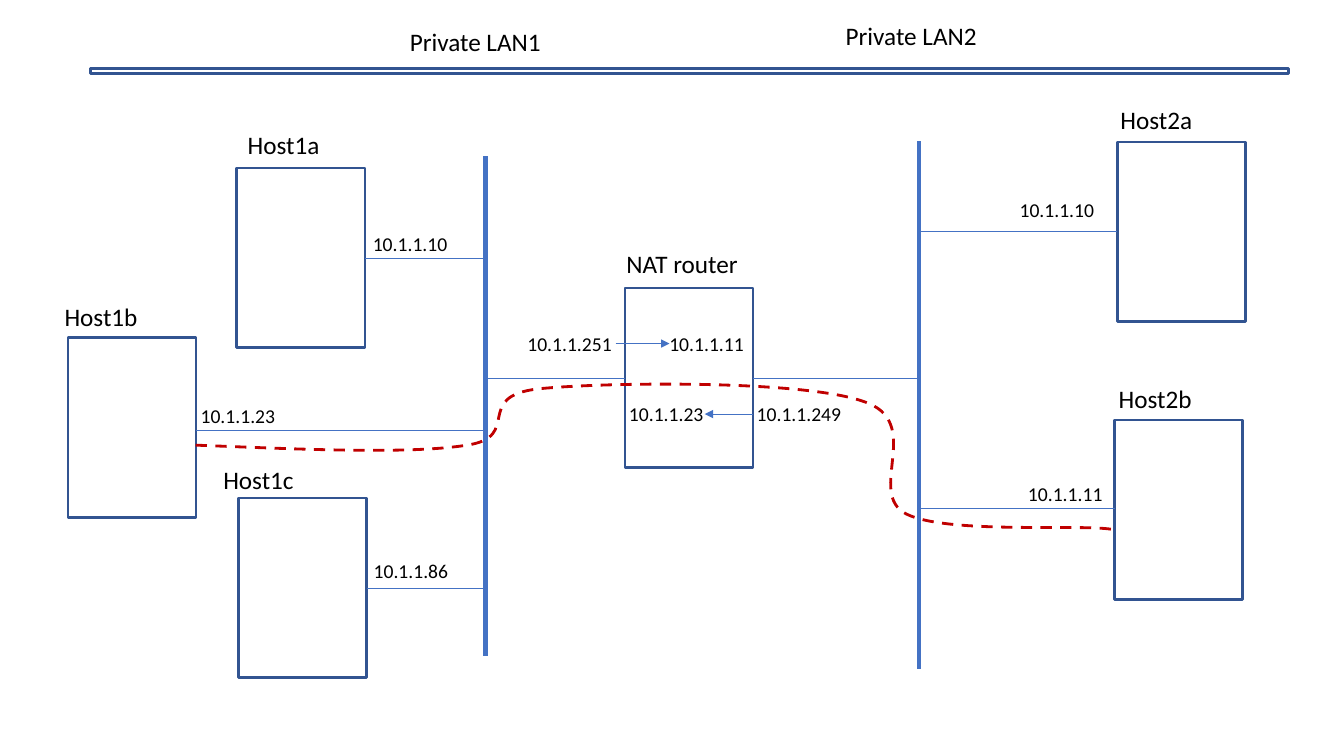
import dataclasses
import lxml.etree
import pptx
import pptx.dml.color
import pptx.enum.dml
import pptx.enum.shapes
import pptx.oxml.ns
import pptx.util

# Square grid: 160 columns by 90 rows
WIDE, HIGH = pptx.util.Inches(13.333), pptx.util.Inches(7.5)
COLS, ROWS = 160, 90
BOX_W, BOX_H = 15.25, 21.4
EDGE, WIRE, RED, BLACK = "325491", "4472C4", "C00000", "000000"
Spot = tuple[float, float]


@dataclasses.dataclass
class Lan:
    name: str
    at: Spot
    col: float
    top: float
    end: float


@dataclasses.dataclass
class Host:
    name: str
    at: Spot
    box: Spot
    lans: list[Lan]
    row: float


@dataclasses.dataclass
class Label:
    text: str
    at: Spot


lan1 = Lan("Private LAN1", (47.6, 2.5), 57.8, 18.6, 78.1)
lan2 = Lan("Private LAN2", (99.5, 1.8), 109.4, 16.8, 79.6)
hosts = [
    Host("Host1a", (28.3, 14.8), (28.2, 20), [lan1], 30.75),
    Host("Host1b", (6.5, 35.3), (8.1, 40.2), [lan1], 51.2),
    Host("Host1c", (25.4, 54.7), (28.4, 59.3), [lan1], 70),
    Host("NAT router", (73.4, 29), (74.4, 34.3), [lan1, lan2], 45),
    Host("Host2a", (132.2, 11.8), (133, 16.9), [lan2], 27.6),
    Host("Host2b", (132, 45), (132.7, 50), [lan2], 60.5),
]
labels = [
    Label("10.1.1.10", (43.2, 27)), Label("10.1.1.23", (22.7, 47.5)),
    Label("10.1.1.86", (43.3, 65.9)), Label("10.1.1.10", (120.2, 23)),
    Label("10.1.1.11", (121.2, 56.8)),
    Label("10.1.1.251", (61.6, 38.9)), Label("10.1.1.11", (78.5, 38.9)),
    Label("10.1.1.23", (73.7, 47.3)), Label("10.1.1.249", (88.9, 47.3)),
]
# Start point, then three points for each curve
route = [
    (23.3, 53), (36, 53.5), (48.7, 54.1), (55.6, 53),
    (62.3, 52), (56.2, 47.2), (64.1, 46.3),
    (71.9, 45.5), (95.5, 45.2), (102.8, 47.8),
    (110.2, 50.2), (103, 58.7), (107.9, 61.2),
    (112.9, 63.7), (129.8, 62.3), (132.7, 63.1),
]

deck = pptx.Presentation()
deck.slide_width, deck.slide_height = WIDE, HIGH
shapes = deck.slides.add_slide(deck.slide_layouts[6]).shapes
qn = pptx.oxml.ns.qn


def x(col: float) -> int:
    return round(WIDE * col / COLS)


def y(row: float) -> int:
    return round(HIGH * row / ROWS)


def paint(part, tint: str) -> None:
    part.rgb = pptx.dml.color.RGBColor.from_string(tint)


def stroke(item, tint: str, width: float) -> None:
    paint(item.line.color, tint)
    item.line.width = pptx.util.Pt(width)


def write(text: str, at: Spot, size: float = 18, font: str = "Calibri",
          tint: str = BLACK) -> None:
    frame = shapes.add_textbox(x(at[0]), y(at[1]), x(20), y(size * 0.28)).text_frame
    frame.word_wrap = True
    run = frame.paragraphs[0].add_run()
    run.text = text
    run.font.size, run.font.name = pptx.util.Pt(size), font
    paint(run.font.color, tint)


def box(at: Spot, width: float = BOX_W, height: float = BOX_H) -> None:
    item = shapes.add_shape(pptx.enum.shapes.MSO_SHAPE.RECTANGLE,
                            x(at[0]), y(at[1]), x(width), y(height))
    item.shadow.inherit = False
    item.fill.background()
    stroke(item, EDGE, 2)


def link(start: Spot, end: Spot, width: float = 0.5, arrow: bool = False) -> None:
    item = shapes.add_connector(pptx.enum.shapes.MSO_CONNECTOR.STRAIGHT,
                                x(start[0]), y(start[1]), x(end[0]), y(end[1]))
    stroke(item, WIRE, width)
    props = item._element.spPr
    if arrow:
        lxml.etree.SubElement(props.find(qn("a:ln")), qn("a:tailEnd"), type="triangle")
    lxml.etree.SubElement(props, qn("a:effectLst"))


def curve(spots: list[Spot]) -> None:
    first, *rest = [(x(col), y(row)) for col, row in spots]
    pen = shapes.build_freeform(*first)
    pen.add_line_segments(rest, close=False)
    item = pen.convert_to_shape()
    item.shadow.inherit = False
    item.fill.background()
    stroke(item, RED, 2)
    item.line.dash_style = pptx.enum.dml.MSO_LINE.DASH
    # Join every three straight steps into one cubic curve
    steps = list(item._element.iter(qn("a:lnTo")))
    for i in range(0, len(steps), 3):
        trio = steps[i:i + 3]
        bend = lxml.etree.Element(qn("a:cubicBezTo"))
        trio[0].addprevious(bend)
        for step in trio:
            bend.append(step[0])
            step.getparent().remove(step)


# Top bar and the two networks
box((10.8, 8.2), 142.6, 0.6)
for lan in (lan1, lan2):
    write(lan.name, lan.at)
    link((lan.col, lan.top), (lan.col, lan.end), width=3)

# Hosts and router, each wired to its networks
for host in hosts:
    box(host.box)
    write(host.name, host.at)
    for lan in host.lans:
        side = host.box[0] + (BOX_W if lan.col > host.box[0] else 0)
        link((side, host.row), (lan.col, host.row))

# Addresses and their translation
for label in labels:
    write(label.text, label.at, size=14)
link((73.3, 40.9), (79.7, 40.9), arrow=True)
link((89.6, 49.3), (83.9, 49.3), arrow=True)

# Traffic from Host1b to Host2b
curve(route)

deck.save("out.pptx")
